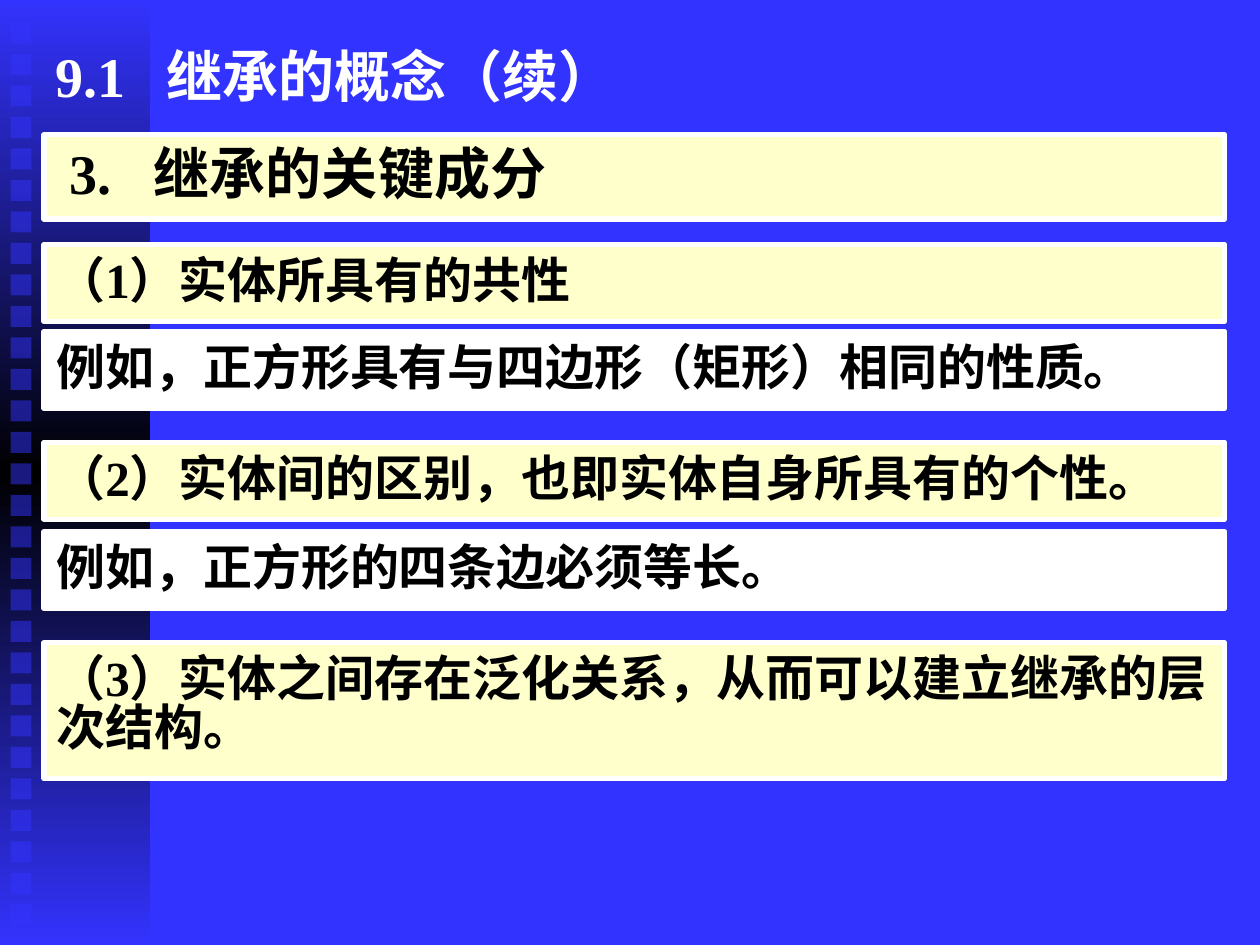
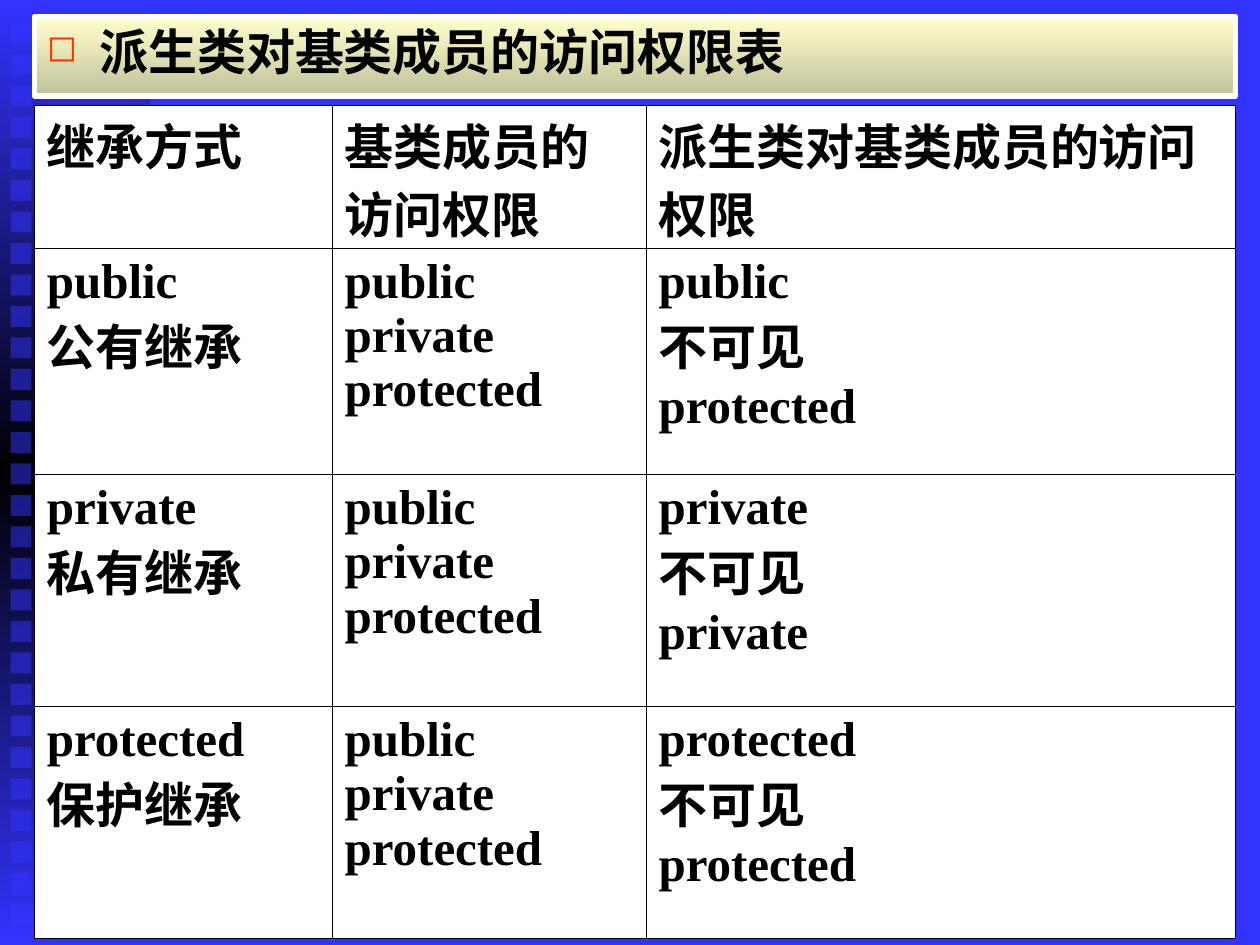
"""Build two slides on inheritance and its access rules."""
from lxml.etree import SubElement
from pptx import Presentation
from pptx.dml.color import RGBColor
from pptx.enum.shapes import MSO_SHAPE
from pptx.enum.text import MSO_ANCHOR, MSO_AUTO_SIZE, PP_ALIGN
from pptx.oxml.ns import qn
from pptx.util import Pt

BLUE = RGBColor(0x33, 0x33, 0xFF)
BLACK = RGBColor(0, 0, 0)
WHITE = RGBColor(0xFF, 0xFF, 0xFF)
CREAM = RGBColor(0xFF, 0xFF, 0xCC)
KHAKI = RGBColor(0xC2, 0xC2, 0x9B)
RED = RGBColor(0xFF, 0x33, 0x00)
FACE = "Times New Roman"

TITLE = "9.1\t继承的概念（续）"
HEAD = "3.\t继承的关键成分"
BANDS = [
    ("（1）实体所具有的共性", 139.7, 44, CREAM),
    ("例如，正方形具有与四边形（矩形）相同的性质。", 189.4, 44, WHITE),
    ("（2）实体间的区别，也即实体自身所具有的个性。", 252.7, 44, CREAM),
    ("例如，正方形的四条边必须等长。", 303.8, 44, WHITE),
    ("（3）实体之间存在泛化关系，从而可以建立继承的层次结构。", 367.2, 77.8, CREAM),
]
TOPIC = "派生类对基类成员的访问权限表"
HEADS = ["继承方式", "基类成员的访问权限", "派生类对基类成员的访问权限"]
BASE = "public\nprivate\nprotected"
RULES = [
    ("public\n公有继承", BASE, "public\n不可见\nprotected"),
    ("private\n私有继承", BASE, "private\n不可见\nprivate"),
    ("protected\n保护继承", BASE, "protected\n不可见\nprotected"),
]
COLS = [170.2, 179.4, 336.8]
ROWS = [81.5, 129.4, 132.5, 132.5]


def style(par, size=28, color=BLACK):
    """Set the common bold face on a paragraph."""
    par.alignment = PP_ALIGN.LEFT
    font = par.font
    font.name, font.size, font.bold = FACE, Pt(size), True
    font.color.rgb = color


def tab(par, pos):
    """Add one left tab stop."""
    stops = SubElement(par._p.get_or_add_pPr(), qn("a:tabLst"))
    SubElement(stops, qn("a:tab"), pos=str(Pt(pos)), algn="l")


def bullet(par, gap):
    """Hang the paragraph on a red square bullet."""
    props = par._p.get_or_add_pPr()
    props.set("marL", str(Pt(gap)))
    props.set("indent", str(-Pt(gap)))
    tint = SubElement(props, qn("a:buClr"))
    SubElement(tint, qn("a:srgbClr"), val=str(RED))
    SubElement(props, qn("a:buSzPct"), val="75000")
    SubElement(props, qn("a:buChar"), char="◻")


def blend(shape, colors):
    """Fill a shape with evenly spaced colours from top to bottom."""
    shape.fill.gradient()
    shape.fill.gradient_angle = 270
    stops = shape.element.spPr.find(qn("a:gradFill")).find(qn("a:gsLst"))
    stops.clear()
    for i, color in enumerate(colors):
        stop = SubElement(stops, qn("a:gs"), pos=str(100000 * i // (len(colors) - 1)))
        SubElement(stop, qn("a:srgbClr"), val=str(color))


def place(shape, left, top, width, height):
    """Move and size a shape."""
    shape.left, shape.top = Pt(left), Pt(top)
    shape.width, shape.height = Pt(width), Pt(height)


def block(shapes, left, top, width, height):
    """Add a plain rectangle without line or shadow."""
    shape = shapes.add_shape(MSO_SHAPE.RECTANGLE, Pt(left), Pt(top), Pt(width), Pt(height))
    shape.shadow.inherit = False
    shape.line.fill.background()
    return shape


def write(shape, text, inset=7.2, anchor=MSO_ANCHOR.TOP):
    """Put text in a shape and return its paragraph."""
    frame = shape.text_frame
    frame.word_wrap, frame.auto_size = True, MSO_AUTO_SIZE.NONE
    frame.vertical_anchor = anchor
    frame.margin_left, frame.margin_right = Pt(inset), Pt(7.2)
    frame.margin_top, frame.margin_bottom = Pt(3.6), Pt(3.6)
    frame.text = text
    return frame.paragraphs[0]


def band(shape, text, inset=7.2):
    """Frame a shape in white and set its text close to the top."""
    shape.line.color.rgb, shape.line.width = WHITE, Pt(3)
    par = write(shape, text, inset)
    shape.text_frame.margin_top = Pt(9)
    par.line_spacing = 0.82
    return par


def dress(master, slide):
    """Give the master its background, side bar and squares."""
    master.background.fill.solid()
    master.background.fill.fore_color.rgb = BLUE
    bar = block(slide.shapes, 0, 0, 85.7, 540)
    blend(bar, [BLUE, BLACK, BLUE])
    parts = [bar]
    for i in range(29):
        dot = block(slide.shapes, 6, 12.8 + 18 * i, 12, 12)
        dot.fill.solid()
        dot.fill.fore_color.rgb = BLUE
        tint = dot.element.spPr.find(qn("a:solidFill"))[0]
        SubElement(tint, qn("a:alpha"), val="50000")
        parts.append(dot)
    for i, part in enumerate(parts):
        part.element.nvSpPr.cNvPr.set("id", str(100 + i))
        master.shapes.element.append(part.element)


def concept(slide):
    """Fill the slide on the key parts of inheritance."""
    title = slide.shapes.title
    place(title, 24.5, 20.2, 666, 45.4)
    par = write(title, TITLE, anchor=MSO_ANCHOR.MIDDLE)
    tab(par, 63.3)
    style(par, 32, WHITE)
    for text, top, height, color in [(HEAD, 77, 48.2, CREAM)] + BANDS:
        shape = block(slide.shapes, 25.2, top, 674.6, height)
        shape.fill.solid()
        shape.fill.fore_color.rgb = color
        first = text == HEAD
        par = band(shape, text, 14.4 if first else 7.2)
        if first:
            tab(par, 48.4)
        style(par, 32 if first else 28)


def border(cell):
    """Draw thin black lines round a cell."""
    props = cell._tc.get_or_add_tcPr()
    for i, side in enumerate(("lnL", "lnR", "lnT", "lnB")):
        line = SubElement(props, qn("a:" + side), w=str(Pt(0.45)))
        fill = SubElement(line, qn("a:solidFill"))
        SubElement(fill, qn("a:srgbClr"), val=str(BLACK))
        props.insert(i, line)


def access(slide):
    """Fill the slide with the table of access rights."""
    title = slide.shapes.title
    place(title, 19.6, 9.4, 686.4, 45.4)
    blend(title, [CREAM, KHAKI])
    par = band(title, TOPIC)
    bullet(par, 30)
    style(par)
    table = slide.shapes.add_table(
        len(ROWS), len(COLS), Pt(19.6), Pt(60.4), Pt(sum(COLS)), Pt(sum(ROWS))).table
    table.first_row = table.horz_banding = False
    for col, width in zip(table.columns, COLS):
        col.width = Pt(width)
    for row, height, texts in zip(table.rows, ROWS, [HEADS] + RULES):
        row.height = Pt(height)
        for cell, text in zip(row.cells, texts):
            cell.fill.solid()
            cell.fill.fore_color.rgb = WHITE
            border(cell)
            cell.text = text
            for par in cell.text_frame.paragraphs:
                style(par)
            if texts is HEADS:
                cell.margin_top, cell.margin_bottom = Pt(2.6), Pt(0)
                par.line_spacing = 0.97


def main():
    """Build and save the deck."""
    deck = Presentation()
    deck.slide_width, deck.slide_height = Pt(720), Pt(540)
    slides = [deck.slides.add_slide(deck.slide_layouts[5]) for _ in range(2)]
    dress(deck.slide_master, slides[0])
    concept(slides[0])
    access(slides[1])
    deck.save("out.pptx")


if __name__ == "__main__":
    main()
